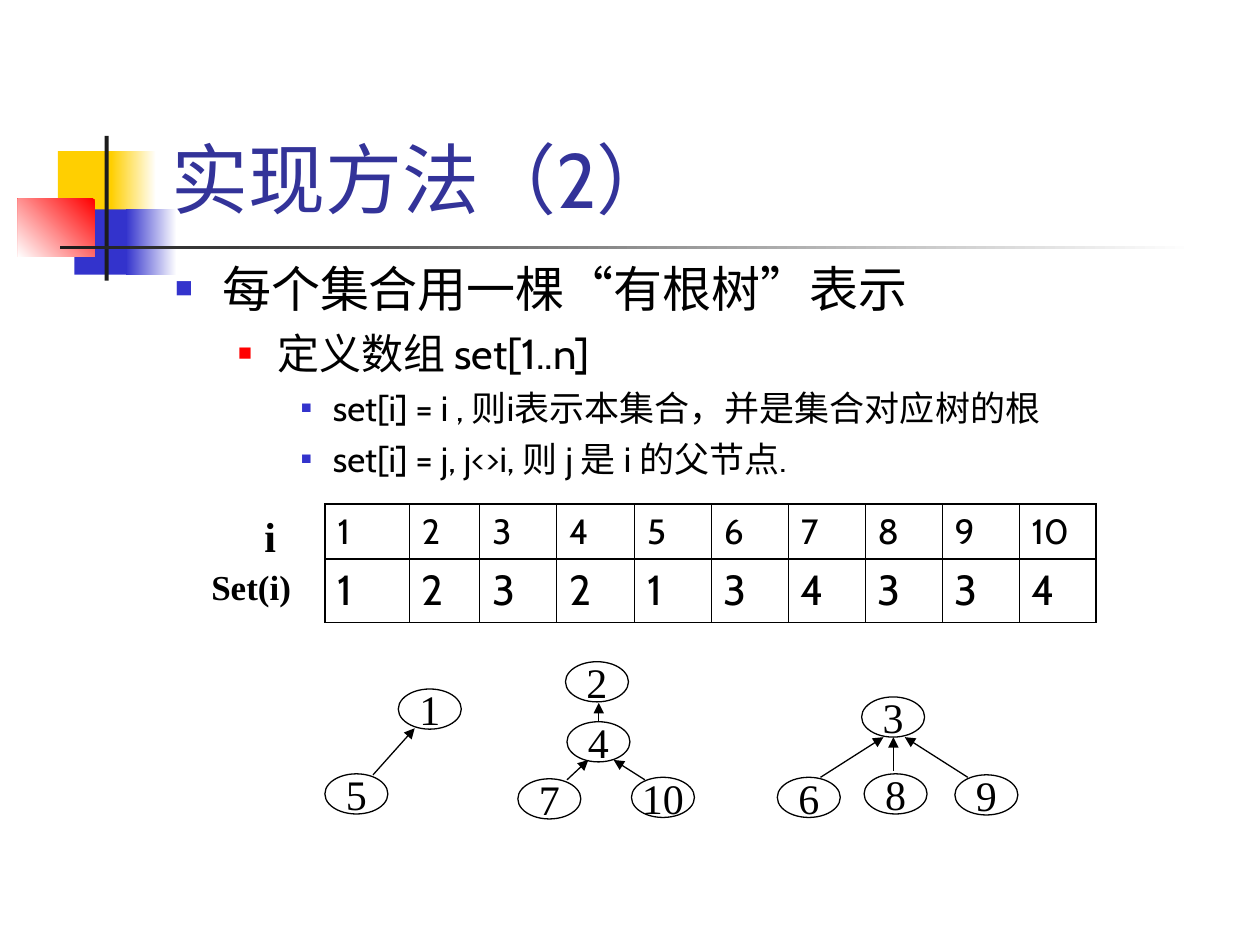
"""Build a slide on storing disjoint sets as rooted trees in an array."""
import lxml.etree
import pptx
import pptx.dml.color
import pptx.enum.shapes
import pptx.enum.text
import pptx.oxml.ns
import pptx.util

Cm = pptx.util.Cm
Pt = pptx.util.Pt
SHAPES = pptx.enum.shapes.MSO_SHAPE
ANCHORS = pptx.enum.text.MSO_ANCHOR
CENTER = pptx.enum.text.PP_ALIGN.CENTER

COLORS = {"black": "000000", "white": "FFFFFF", "title": "333399", "yellow": "FFCF01",
          "blue": "3333CC", "red": "FF0000", "bar": "1C1C1C"}

DECORATIONS = [
    ((1.17, 3.05, 1.22, 1.32), ["yellow"], 0),
    ((2.24, 3.05, 0.91, 1.32), ["white", "yellow"], 180),
    ((1.5, 4.22, 1.17, 1.32), ["blue"], 0),
    ((2.54, 4.22, 1.02, 1.32), ["white", "blue"], 180),
    ((0.36, 4.01, 1.55, 1.17), ["red", "white"], 225),
    ((2.11, 2.74, 0.08, 2.92), ["bar"], 0),
    ((1.22, 4.95, 22.86, 0.08), ["white", "bar"], 180),
]

TITLE = ("实现方法（2）", (3.2, 0.58, 21.64, 4.06))
BODY_BOX = (3.28, 5.08, 19.58, 4.88)
BODY = [
    (0, "每个集合用一棵“有根树”表示"),
    (1, "定义数组 set[1..n]"),
    (2, "set[i] = i , 则i表示本集合，并是集合对应树的根"),
    (2, "set[i] = j, j<>i, 则 j 是 i 的父节点."),
]
LEVELS = [
    {"size": 28, "before": 7, "margin": 0.95, "hang": 0.95, "color": "blue", "percent": 60},
    {"size": 24, "before": 6, "margin": 2.06, "hang": 0.79, "color": "red", "percent": 55},
    {"size": 20, "before": 5, "margin": 3.18, "hang": 0.64, "color": "blue", "percent": 50},
]

TABLE_ORIGIN = (6.55, 10.16)
COLUMN_WIDTHS = [1.7, 1.42, 1.55, 1.57] + [1.55] * 6
ROWS = [
    {"values": range(1, 11), "height": 1.11, "size": 20, "before": 5},
    {"values": [1, 2, 3, 2, 1, 3, 4, 3, 3, 4], "height": 1.28, "size": 24, "before": 6},
]
ROW_LABELS = [("i", 24, (5.08, 10.16, 0.74, 1.27)), ("Set(i)", 20, (4.01, 11.28, 2.34, 1.12))]

NODE_SIZE = (1.27, 0.81)
TREES = [
    {"nodes": {1: (8.03, 13.89), 5: (6.55, 15.6)},
     "arrows": [(7.52, 15.62, 8.36, 14.68)]},
    {"nodes": {2: (11.4, 13.34), 4: (11.43, 14.55), 7: (10.44, 15.7), 10: (12.73, 15.67)},
     "arrows": [(11.43, 15.72, 11.86, 15.32), (13, 15.72, 12.37, 15.32),
                (12.07, 14.55, 12.07, 14.17)]},
    {"nodes": {3: (17.37, 14.05), 6: (15.67, 15.67), 8: (17.42, 15.6), 9: (19.25, 15.62)},
     "arrows": [(16.54, 15.67, 17.81, 14.86), (18.01, 15.54, 18.01, 14.86),
                (19.51, 15.67, 18.24, 14.86)]},
]


def rgb(name):
    return pptx.dml.color.RGBColor.from_string(COLORS[name])


def lengths(values):
    return [Cm(value) for value in values]


def add_xml(parent, tag, **attributes):
    return lxml.etree.SubElement(parent, pptx.oxml.ns.qn("a:" + tag), attributes)


def write(paragraph, text, size, color="black", name="Cabin", bold=False):
    run = paragraph.add_run()
    run.text = str(text)
    formats = {"size": Pt(size), "name": name, "bold": bold}
    for attribute, value in formats.items():
        setattr(run.font, attribute, value)
    run.font.color.rgb = rgb(color)


def add_text_frame(slide, box, anchor=ANCHORS.TOP):
    frame = slide.shapes.add_textbox(*lengths(box)).text_frame
    frame.word_wrap = True
    frame.vertical_anchor = anchor
    return frame


def add_decoration(slide, box, colors, angle):
    shape = slide.shapes.add_shape(SHAPES.RECTANGLE, *lengths(box))
    shape.shadow.inherit = False
    shape.line.fill.background()
    if len(colors) == 1:
        shape.fill.solid()
        shape.fill.fore_color.rgb = rgb(colors[0])
    else:
        shape.fill.gradient()
        shape.fill.gradient_angle = angle
        for stop, color in zip(shape.fill.gradient_stops, colors):
            stop.color.rgb = rgb(color)


def add_body(slide):
    frame = add_text_frame(slide, BODY_BOX)
    for index, (level, text) in enumerate(BODY):
        style = LEVELS[level]
        paragraph = frame.add_paragraph() if index else frame.paragraphs[0]
        paragraph.level = level
        paragraph.space_before = Pt(style["before"])
        write(paragraph, text, style["size"])
        properties = paragraph._p.get_or_add_pPr()
        properties.set("marL", str(Cm(style["margin"])))
        properties.set("indent", str(-Cm(style["hang"])))
        add_xml(add_xml(properties, "buClr"), "srgbClr", val=COLORS[style["color"]])
        add_xml(properties, "buSzPct", val=str(style["percent"] * 1000))
        add_xml(properties, "buFont", typeface="Arial")
        add_xml(properties, "buChar", char="■")


def set_borders(cell, widths):
    properties = cell._tc.get_or_add_tcPr()
    for index, (side, width) in enumerate(widths.items()):
        border = add_xml(properties, "ln" + side, w=str(Pt(width)))
        add_xml(add_xml(border, "solidFill"), "srgbClr", val=COLORS["black"])
        properties.insert(index, border)


def add_array_table(slide):
    size = (sum(COLUMN_WIDTHS), sum(row["height"] for row in ROWS))
    table = slide.shapes.add_table(len(ROWS), len(COLUMN_WIDTHS),
                                   *lengths(TABLE_ORIGIN + size)).table
    table.first_row = table.horz_banding = False
    for column, width in zip(table.columns, COLUMN_WIDTHS):
        column.width = Cm(width)
    last = len(COLUMN_WIDTHS) - 1
    for row_index, row in enumerate(ROWS):
        table.rows[row_index].height = Cm(row["height"])
        for index, value in enumerate(row["values"]):
            cell = table.cell(row_index, index)
            cell.fill.background()
            paragraph = cell.text_frame.paragraphs[0]
            paragraph.space_before = Pt(row["before"])
            write(paragraph, value, row["size"])
            set_borders(cell, {"L": 0.45 if index else 1.08,
                               "R": 0.45 if index < last else 1.08, "T": 1.08, "B": 1.08})


def add_node(slide, label, position):
    shape = slide.shapes.add_shape(SHAPES.OVAL, *lengths(position + NODE_SIZE))
    shape.shadow.inherit = False
    shape.fill.solid()
    shape.fill.fore_color.rgb = rgb("white")
    shape.line.color.rgb = rgb("black")
    shape.line.width = Pt(0.75)
    frame = shape.text_frame
    frame.word_wrap = False
    frame.vertical_anchor = ANCHORS.MIDDLE
    frame.paragraphs[0].alignment = CENTER
    write(frame.paragraphs[0], label, 24, name="Times New Roman")


def add_arrow(slide, ends):
    arrow = slide.shapes.add_connector(pptx.enum.shapes.MSO_CONNECTOR.STRAIGHT, *lengths(ends))
    arrow.line.color.rgb = rgb("black")
    arrow.line.width = Pt(0.75)
    add_xml(arrow.line._get_or_add_ln(), "tailEnd", type="triangle")
    add_xml(arrow._element.spPr, "effectLst")


def main():
    presentation = pptx.Presentation()
    presentation.slide_width, presentation.slide_height = Cm(25.4), Cm(19.05)
    slide = presentation.slides.add_slide(presentation.slide_layouts[6])
    for decoration in DECORATIONS:
        add_decoration(slide, *decoration)
    text, box = TITLE
    write(add_text_frame(slide, box, ANCHORS.BOTTOM).paragraphs[0], text, 44, "title")
    add_body(slide)
    add_array_table(slide)
    for text, size, box in ROW_LABELS:
        write(add_text_frame(slide, box).paragraphs[0], text, size,
              name="Times New Roman", bold=True)
    for tree in TREES:
        for label, position in tree["nodes"].items():
            add_node(slide, label, position)
        for ends in tree["arrows"]:
            add_arrow(slide, ends)
    presentation.save("out.pptx")


if __name__ == "__main__":
    main()
